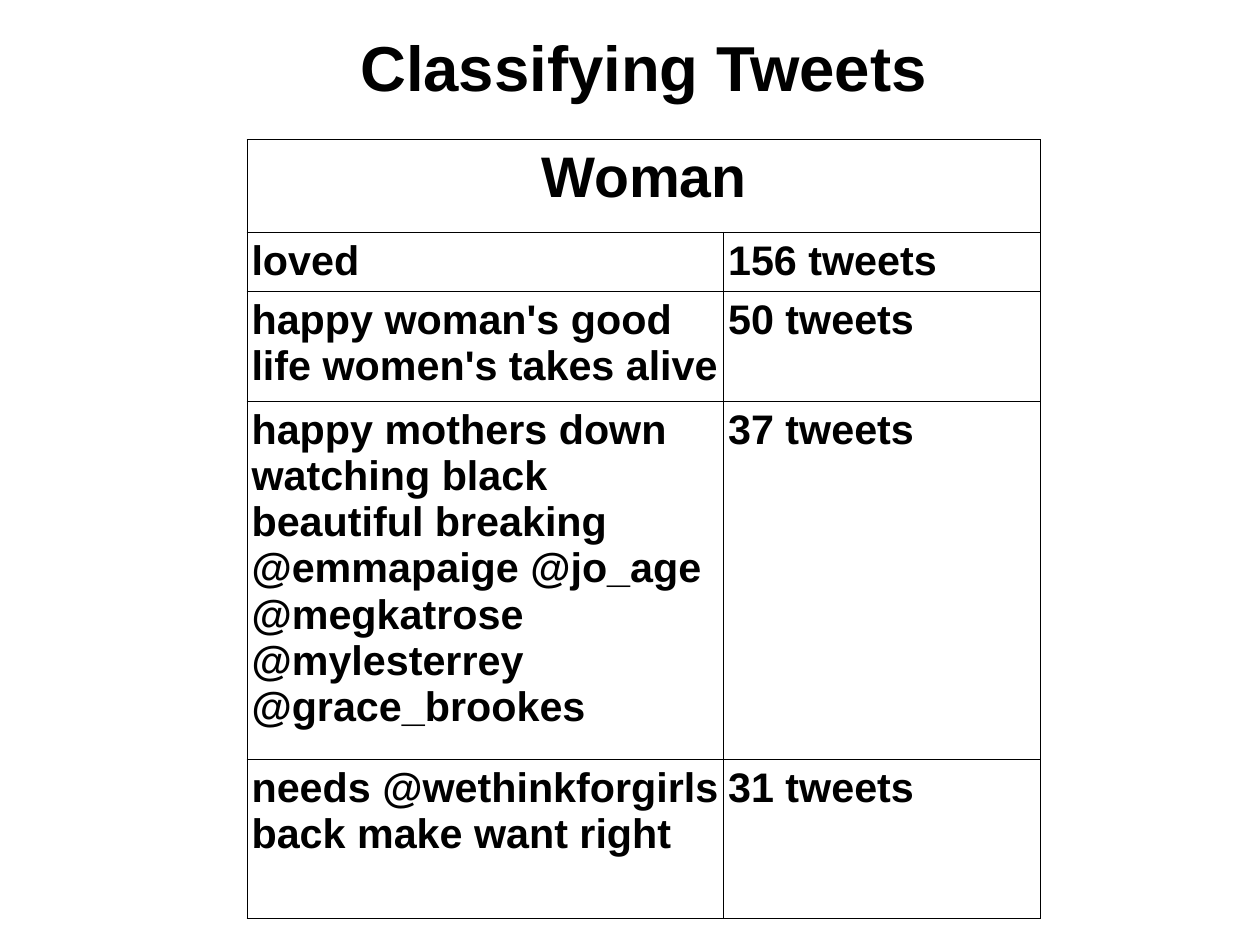
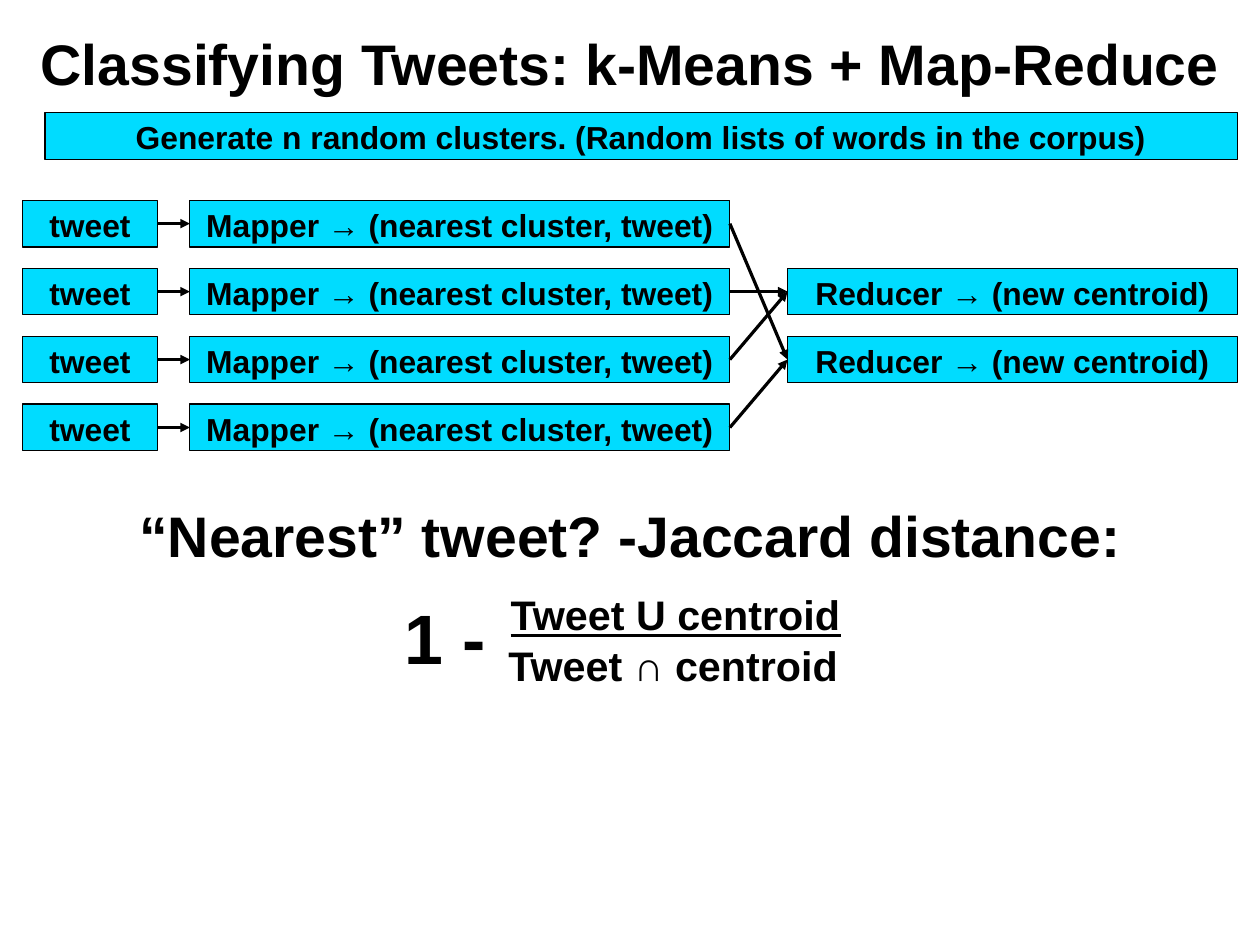
import pptx
import pptx.util
import pptx.dml.color
import pptx.enum.shapes
import pptx.enum.text
import pptx.oxml
import pptx.oxml.ns
from lxml import etree

Cm, Pt = pptx.util.Cm, pptx.util.Pt
LEFT = pptx.enum.text.PP_ALIGN.LEFT
CENTER = pptx.enum.text.PP_ALIGN.CENTER
BLACK, CYAN = "000000", "00DCFF"
FONT = {"name": "Arial", "bold": True}


def paint(colour_format, hex_colour):
    colour_format.rgb = pptx.dml.color.RGBColor.from_string(hex_colour)


def write(frame, text, size, align=LEFT, **extra):
    frame.word_wrap = True
    paragraph = frame.paragraphs[0]
    paragraph.alignment = align
    run = paragraph.add_run()
    run.text = text
    for attribute, value in {**FONT, "size": Pt(size), **extra}.items():
        setattr(run.font, attribute, value)
    paint(run.font.color, BLACK)


deck = pptx.Presentation()
deck.slide_width, deck.slide_height = Cm(28), Cm(21)
blank = deck.slide_layouts[6]
results = deck.slides.add_slide(blank)
method = deck.slides.add_slide(blank)

# Slide 1: table of clusters
clusters = [
    ("Woman", "", 2.06),
    ("loved", "156 tweets", 1.32),
    ("happy woman's good life women's takes alive", "50 tweets", 2.44),
    ("happy mothers down watching black beautiful breaking @emmapaige "
     "@jo_age @megkatrose @mylesterrey @grace_brookes", "37 tweets", 7.95),
    ("needs @wethinkforgirls back make want right", "31 tweets", 3.53),
]
cluster_table = results.shapes.add_table(
    len(clusters), 2, Cm(5.49), Cm(3.1), Cm(17.64), Cm(17.3)).table
cluster_table.first_row = cluster_table.horz_banding = False
for column, width in zip(cluster_table.columns, (10.59, 7.05)):
    column.width = Cm(width)
cluster_table.cell(0, 0).merge(cluster_table.cell(0, 1))

cell_margins = {"margin_left": Cm(0.1), "margin_right": Cm(0.1),
                "margin_top": Cm(0.13), "margin_bottom": Cm(0.13)}
for row, (words, count, height) in enumerate(clusters):
    cluster_table.rows[row].height = Cm(height)
    for col, text in enumerate((words, count)):
        cell = cluster_table.cell(row, col)
        for attribute, value in cell_margins.items():
            setattr(cell, attribute, value)
        for side in "LRTB":
            cell._tc.get_or_add_tcPr().append(pptx.oxml.parse_xml(
                f'<a:ln{side} {pptx.oxml.ns.nsdecls("a")} w="{Pt(0.57)}">'
                f'<a:solidFill><a:srgbClr val="{BLACK}"/></a:solidFill>'
                f'</a:ln{side}>'))
        cell.fill.background()
        if text:
            heading = row == 0
            write(cell.text_frame, text, 36 if heading else 26,
                  CENTER if heading else LEFT)

# Titles and the Jaccard formula
texts = [
    (results, "Classifying Tweets", 6.3, 0.5, 16, 1.83, 40, CENTER, {}),
    (method, "Classifying Tweets: k-Means + Map-Reduce",
     0.5, 0.5, 27, 1.68, 36, CENTER, {}),
    (method, "“Nearest” tweet? -Jaccard distance:",
     0.5, 11, 27, 1.68, 36, CENTER, {}),
    (method, "Tweet ∩ centroid", 11.05, 14.1, 8, 1.27, 26, LEFT, {}),
    (method, "Tweet U centroid", 11.1, 12.98, 8, 2, 26, LEFT,
     {"underline": True}),
    (method, "1 -", 8.74, 13.08, 2.5, 1.98, 44, LEFT, {}),
]
for slide, text, left, top, width, height, size, align, extra in texts:
    box = slide.shapes.add_textbox(Cm(left), Cm(top), Cm(width), Cm(height))
    write(box.text_frame, text, size, align, **extra)

# Slide 2: map-reduce boxes
BOX_HEIGHT = 1.04
row_tops = [4.45 + 1.51 * row for row in range(4)]
row_middles = [top + BOX_HEIGHT / 2 for top in row_tops]
tweet_left, tweet_width = 0.5, 3
mapper_left, mapper_width = 4.22, 12
reducer_left, reducer_width = 17.5, 10

steps = [("Generate n random clusters. (Random lists of words in the corpus)",
          1, 2.5, 26.5)]
for top in row_tops:
    steps.append(("tweet", tweet_left, top, tweet_width))
    steps.append(("Mapper → (nearest cluster, tweet)",
                  mapper_left, top, mapper_width))
for top in row_tops[1:3]:
    steps.append(("Reducer → (new centroid)", reducer_left, top, reducer_width))

for text, left, top, width in steps:
    step = method.shapes.add_shape(
        pptx.enum.shapes.MSO_SHAPE.RECTANGLE,
        Cm(left), Cm(top), Cm(width), Cm(BOX_HEIGHT))
    step.shadow.inherit = False
    step.fill.solid()
    paint(step.fill.fore_color, CYAN)
    paint(step.line.color, BLACK)
    step.line.width = Pt(0)
    step.text_frame.vertical_anchor = pptx.enum.text.MSO_ANCHOR.TOP
    write(step.text_frame, text, 20, CENTER)

# Slide 2: arrows from tweets to mappers, and from mappers to reducers
flows = [(tweet_left + tweet_width, row, mapper_left, row) for row in range(4)]
flows += [(mapper_left + mapper_width, mapper, reducer_left, reducer)
          for mapper, reducer in ((0, 2), (1, 1), (2, 1), (3, 2))]
for start, from_row, end, to_row in flows:
    arrow = method.shapes.add_connector(
        pptx.enum.shapes.MSO_CONNECTOR.STRAIGHT,
        Cm(start), Cm(row_middles[from_row]), Cm(end), Cm(row_middles[to_row]))
    paint(arrow.line.color, BLACK)
    arrow.line.width = Pt(0)
    etree.SubElement(arrow.line._get_or_add_ln(),
                     pptx.oxml.ns.qn("a:tailEnd"), type="triangle")
    etree.SubElement(arrow._element.spPr, pptx.oxml.ns.qn("a:effectLst"))

deck.save("out.pptx")
